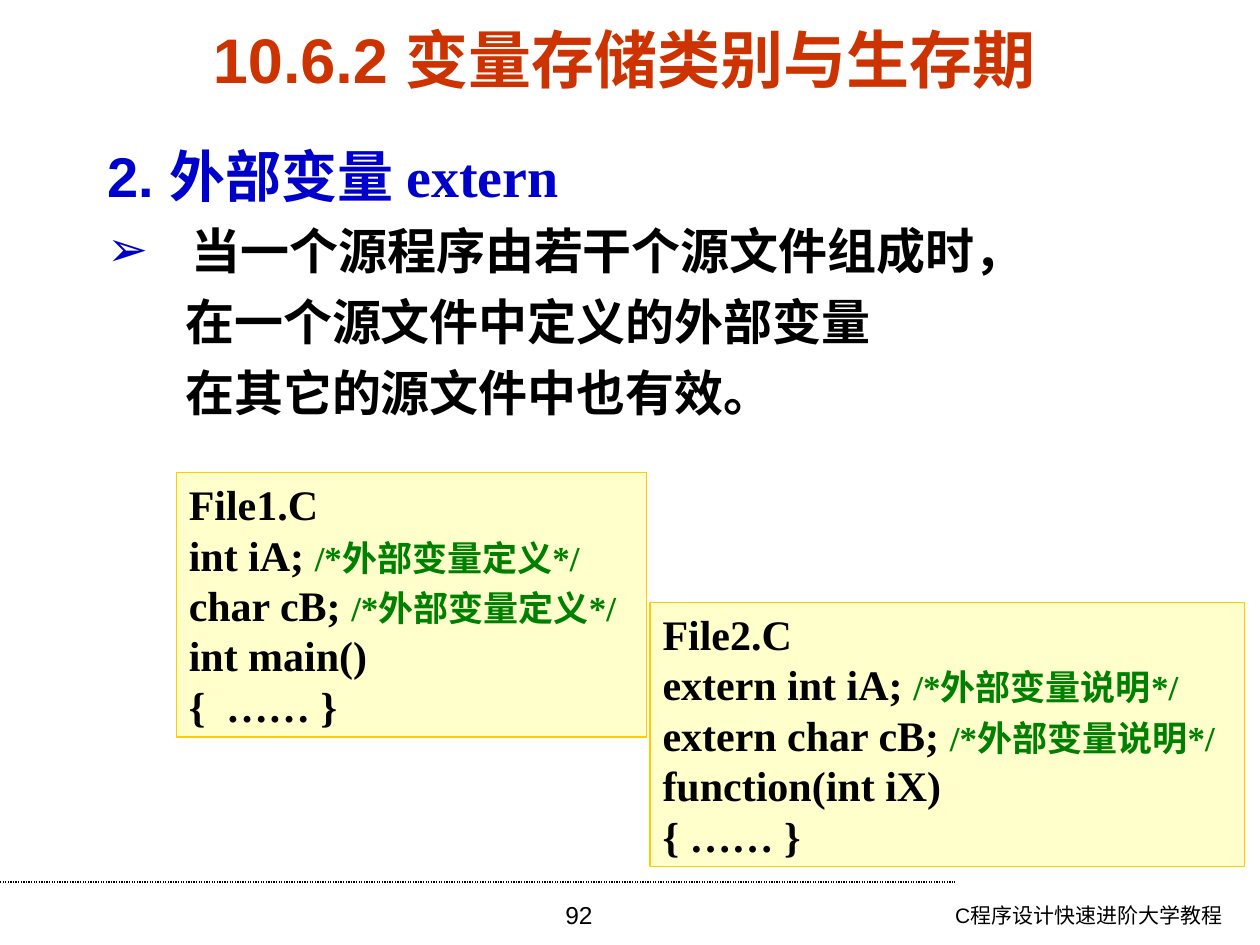
from lxml import etree
from pptx import Presentation
from pptx.dml.color import RGBColor
from pptx.enum.dml import MSO_LINE
from pptx.enum.shapes import MSO_CONNECTOR, MSO_SHAPE
from pptx.enum.text import MSO_ANCHOR, MSO_AUTO_SIZE, PP_ALIGN
from pptx.oxml.ns import qn
from pptx.util import Inches, Pt

COLORS = {"title": "CC3300", "heading": "0000CC", "text": "000000",
          "comment": "008000", "panel": "FFFFCC", "border": "FFCC00"}
SANS, SERIF = "Arial", "Times New Roman"
LINE_HEIGHT = 1.2

# Text styles: font, size, bold, colour
STYLES = {
    "title": (SANS, 36, True, "title"),
    "heading": (SANS, 32, True, "heading"),
    "keyword": (SERIF, 32, True, "heading"),
    "body": (SANS, 28, True, "text"),
    "code": (SERIF, 24, True, "text"),
    "comment": (SERIF, 20, True, "comment"),
    "footer": (SANS, 12, False, "text"),
    "number": (SANS, 14, False, "text"),
}

TITLE = [("10.6.2 变量存储类别与生存期", "title")]
# Body lines: spans, left margin, first-line indent, space before, bullet
BODY = [
    ([("2. 外部变量 ", "heading"), ("extern", "keyword")], 0.67, -0.67, 0, None),
    ([("当一个源程序由若干个源文件组成时，", "body")], 0.67, -0.67, 7, "➢"),
    ([("在一个源文件中定义的外部变量", "body")], 0.62, 0, 7, None),
    ([("在其它的源文件中也有效。", "body")], 0.62, 0, 7, None),
]
# Code panels: place, then lines of (code, comment)
PANELS = [
    ((1.4, 3.75, 3.73, 2.1),
     [("File1.C", ""), ("int iA; ", "/*外部变量定义*/"),
      ("char cB; ", "/*外部变量定义*/"), ("int main()", ""), ("{  …… }", "")]),
    ((5.16, 4.78, 4.72, 2.1),
     [("File2.C", ""), ("extern int iA; ", "/*外部变量说明*/"),
      ("extern char cB; ", "/*外部变量说明*/"), ("function(int iX)", ""),
      ("{ …… }", "")]),
]
FOOTERS = [
    ((6.57, 7.11, 3.23, 0.39), "C程序设计快速进阶大学教程", "footer", PP_ALIGN.RIGHT),
    ((3.43, 7.09, 2.33, 0.41), "92", "number", PP_ALIGN.CENTER),
]


def color(name):
    return RGBColor.from_string(COLORS[name])


def place(shape, inches):
    for side, value in zip(("left", "top", "width", "height"), inches):
        setattr(shape, side, Inches(value))


def setup_frame(shape, anchor, wrap=True):
    frame = shape.text_frame
    formats = {"auto_size": MSO_AUTO_SIZE.NONE, "word_wrap": wrap,
               "vertical_anchor": anchor,
               "margin_left": Inches(0.1), "margin_right": Inches(0.1),
               "margin_top": Inches(0.05), "margin_bottom": Inches(0.05)}
    for name, value in formats.items():
        setattr(frame, name, value)
    return frame


def paragraphs(frame, count):
    """Return the frame's first paragraph followed by new ones."""
    return [frame.paragraphs[0]] + [frame.add_paragraph() for _ in range(count - 1)]


def write(para, spans, align=PP_ALIGN.LEFT, before=0):
    para.alignment = align
    para.space_before = Pt(before)
    para.line_spacing = Pt(LINE_HEIGHT * max(STYLES[style][1] for _, style in spans))
    for text, style in spans:
        name, size, bold, tone = STYLES[style]
        span = para.add_run()
        span.text = text
        for key, value in {"name": name, "size": Pt(size), "bold": bold}.items():
            setattr(span.font, key, value)
        span.font.color.rgb = color(tone)


def set_bullet(para, margin, indent, bullet):
    props = para._p.get_or_add_pPr()
    props.set("marL", str(Inches(margin)))
    props.set("indent", str(Inches(indent)))
    if bullet:
        tone = etree.SubElement(props, qn("a:buClr"))
        etree.SubElement(tone, qn("a:srgbClr"), val=COLORS["heading"])
        etree.SubElement(props, qn("a:buChar"), char=bullet)
    else:
        etree.SubElement(props, qn("a:buNone"))


def add_rule(page):
    rule = page.shapes.add_connector(MSO_CONNECTOR.STRAIGHT, Inches(0), Inches(7),
                                     Inches(7.58), Inches(7))
    rule.line.color.rgb = color("text")
    rule.line.width = Pt(0.75)
    rule.line.dash_style = MSO_LINE.ROUND_DOT
    etree.SubElement(rule._element.spPr, qn("a:effectLst"))


def add_panel(page, where, lines):
    panel = page.shapes.add_shape(MSO_SHAPE.RECTANGLE, *map(Inches, where))
    panel.shadow.inherit = False
    panel.fill.solid()
    panel.fill.fore_color.rgb = color("panel")
    panel.line.color.rgb = color("border")
    panel.line.width = Pt(0.75)
    frame = setup_frame(panel, MSO_ANCHOR.MIDDLE, wrap=False)
    for para, (code, comment) in zip(paragraphs(frame, len(lines)), lines):
        write(para, [(code, "code")] + ([(comment, "comment")] if comment else []))


def main():
    deck = Presentation()
    deck.slide_width, deck.slide_height = Inches(10), Inches(7.5)
    page = deck.slides.add_slide(deck.slide_layouts[1])
    title, body = page.placeholders

    add_rule(page)
    for where, text, style, align in FOOTERS:
        box = page.shapes.add_textbox(*map(Inches, where))
        write(setup_frame(box, MSO_ANCHOR.TOP).paragraphs[0], [(text, style)], align)

    place(title, (0.43, 0.21, 9.05, 0.5))
    write(setup_frame(title, MSO_ANCHOR.MIDDLE).paragraphs[0], TITLE, PP_ALIGN.CENTER)

    place(body, (0.75, 1.07, 9.25, 5.75))
    frame = setup_frame(body, MSO_ANCHOR.TOP)
    for para, line in zip(paragraphs(frame, len(BODY)), BODY):
        spans, margin, indent, before, bullet = line
        set_bullet(para, margin, indent, bullet)
        write(para, spans, before=before)

    for where, lines in PANELS:
        add_panel(page, where, lines)
    deck.save("out.pptx")


if __name__ == "__main__":
    main()
